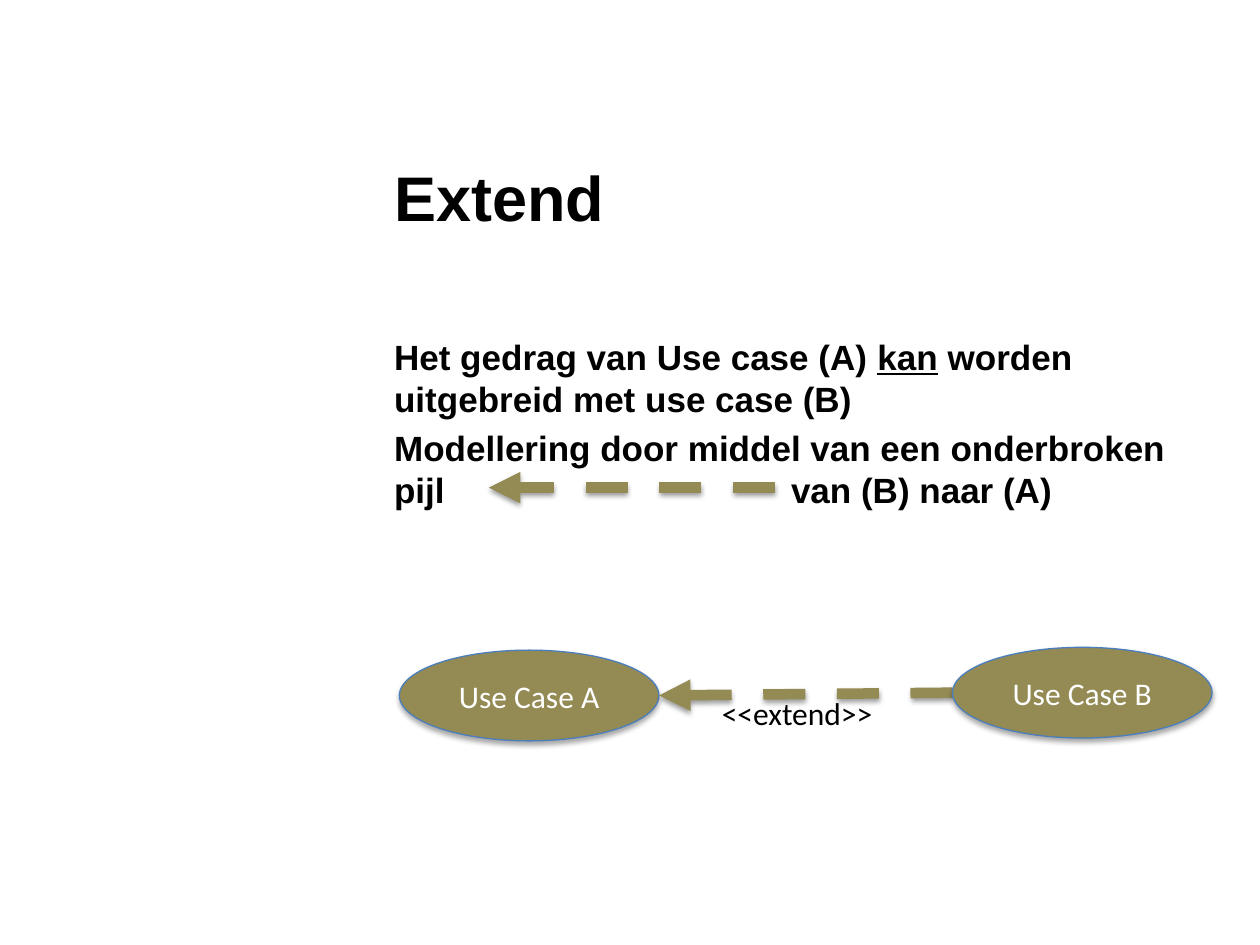
from dataclasses import dataclass

from lxml import etree
from pptx import Presentation
from pptx import util as u
from pptx.dml.color import RGBColor
from pptx.enum import dml, shapes, text
from pptx.oxml.ns import qn


@dataclass(frozen=True)
class Theme:
    ink: RGBColor = RGBColor(0, 0, 0)
    paper: RGBColor = RGBColor(255, 255, 255)
    olive: RGBColor = RGBColor.from_string("948A54")
    outline: RGBColor = RGBColor.from_string("4B7EBC")
    heading_font: str = "Arial"
    diagram_font: str = "Calibri"
    title_size: int = 36
    body_size: int = 20
    diagram_size: int = 18
    arrow_width: int = 6
    outline_width: float = 0.75


THEME = Theme()
WIDTH, HEIGHT = u.Inches(10), u.Inches(7.5)
LEFT, CONTENT_WIDTH = 0.303, 0.667
CASE_WIDTH, CASE_HEIGHT = 0.206, 0.096
CASE_A = (0.317, 0.688)
CASE_B = (0.756, 0.685)


def across(share):
    return round(WIDTH * share)


def down(share):
    return round(HEIGHT * share)


def set_font(paragraph, name, size, color, bold=False):
    font = paragraph.font
    font.name, font.size, font.bold = name, u.Pt(size), bold
    font.color.rgb = color


def add_shadow(effects, distance, opacity):
    shadow = etree.SubElement(
        effects, qn("a:outerShdw"), blurRad=str(u.Pt(3.1)),
        dist=str(u.Pt(distance)), dir="5400000", rotWithShape="0")
    color = etree.SubElement(shadow, qn("a:srgbClr"), val=str(THEME.ink))
    etree.SubElement(color, qn("a:alpha"), val=str(opacity * 1000))


def add_text_frame(slide, left, top, width, height, wrap=True):
    box = slide.shapes.add_textbox(
        across(left), down(top), across(width), down(height))
    box.text_frame.word_wrap = wrap
    return box.text_frame


def add_title(slide, wording):
    frame = add_text_frame(slide, LEFT, 0.16, CONTENT_WIDTH, 0.095)
    frame.vertical_anchor = text.MSO_ANCHOR.MIDDLE
    paragraph = frame.paragraphs[0]
    paragraph.text = wording
    set_font(paragraph, THEME.heading_font, THEME.title_size, THEME.ink, True)


def add_tab_stop(paragraph, position):
    properties = paragraph.font._element.getparent()
    tabs = etree.Element(qn("a:tabLst"))
    etree.SubElement(tabs, qn("a:tab"), pos=str(position), algn="l")
    properties.find(qn("a:defRPr")).addprevious(tabs)


def add_body(slide):
    frame = add_text_frame(slide, LEFT, 0.348, CONTENT_WIDTH, 0.576)
    behaviour, notation = frame.paragraphs[0], frame.add_paragraph()
    for wording in ("Het gedrag van Use case (A) ", "kan",
                    " worden uitgebreid met use case (B)"):
        run = behaviour.add_run()
        run.text = wording
        if wording == "kan":
            run.font.underline = True
    notation.add_run().text = (
        "Modellering door middel van een onderbroken pijl \tvan (B) naar (A)")
    for paragraph in frame.paragraphs:
        paragraph.space_before = u.Pt(THEME.body_size * 0.2)
        set_font(paragraph, THEME.heading_font, THEME.body_size, THEME.ink, True)
    add_tab_stop(notation, across(0.315))


def add_dashed_arrow(slide, start, end):
    arrow = slide.shapes.add_connector(
        shapes.MSO_CONNECTOR.STRAIGHT,
        across(start[0]), down(start[1]), across(end[0]), down(end[1]))
    line = arrow.line
    line.color.rgb = THEME.olive
    line.width = u.Pt(THEME.arrow_width)
    line.dash_style = dml.MSO_LINE.DASH
    properties = arrow._element.spPr
    etree.SubElement(properties.find(qn("a:ln")), qn("a:tailEnd"), type="triangle")
    add_shadow(etree.SubElement(properties, qn("a:effectLst")), 1.6, 38)


def add_use_case(slide, position, name):
    ellipse = slide.shapes.add_shape(
        shapes.MSO_SHAPE.OVAL, across(position[0]), down(position[1]),
        across(CASE_WIDTH), down(CASE_HEIGHT))
    ellipse.fill.solid()
    ellipse.fill.fore_color.rgb = THEME.olive
    ellipse.line.color.rgb = THEME.outline
    ellipse.line.width = u.Pt(THEME.outline_width)
    ellipse.shadow.inherit = False
    add_shadow(ellipse._element.spPr.find(qn("a:effectLst")), 1.8, 35)
    ellipse.text_frame.vertical_anchor = text.MSO_ANCHOR.MIDDLE
    paragraph = ellipse.text_frame.paragraphs[0]
    paragraph.text = name
    paragraph.alignment = text.PP_ALIGN.CENTER
    set_font(paragraph, THEME.diagram_font, THEME.diagram_size, THEME.paper)


def add_arrow_label(slide, wording):
    frame = add_text_frame(slide, 0.563, 0.728, 0.141, 0.054, wrap=False)
    frame.auto_size = text.MSO_AUTO_SIZE.SHAPE_TO_FIT_TEXT
    paragraph = frame.paragraphs[0]
    paragraph.text = wording
    set_font(paragraph, THEME.diagram_font, THEME.diagram_size, THEME.ink)


def main():
    presentation = Presentation()
    presentation.slide_width, presentation.slide_height = WIDTH, HEIGHT
    slide = presentation.slides.add_slide(presentation.slide_layouts[6])
    add_title(slide, "Extend")
    add_body(slide)
    add_dashed_arrow(slide, (0.615, 0.516), (0.388, 0.516))
    add_use_case(slide, CASE_A, "Use Case A")
    add_dashed_arrow(
        slide,
        (CASE_B[0], CASE_B[1] + CASE_HEIGHT / 2),
        (CASE_A[0] + CASE_WIDTH, CASE_A[1] + CASE_HEIGHT / 2))
    add_arrow_label(slide, "<<extend>>")
    add_use_case(slide, CASE_B, "Use Case B")
    presentation.save("out.pptx")


if __name__ == "__main__":
    main()
